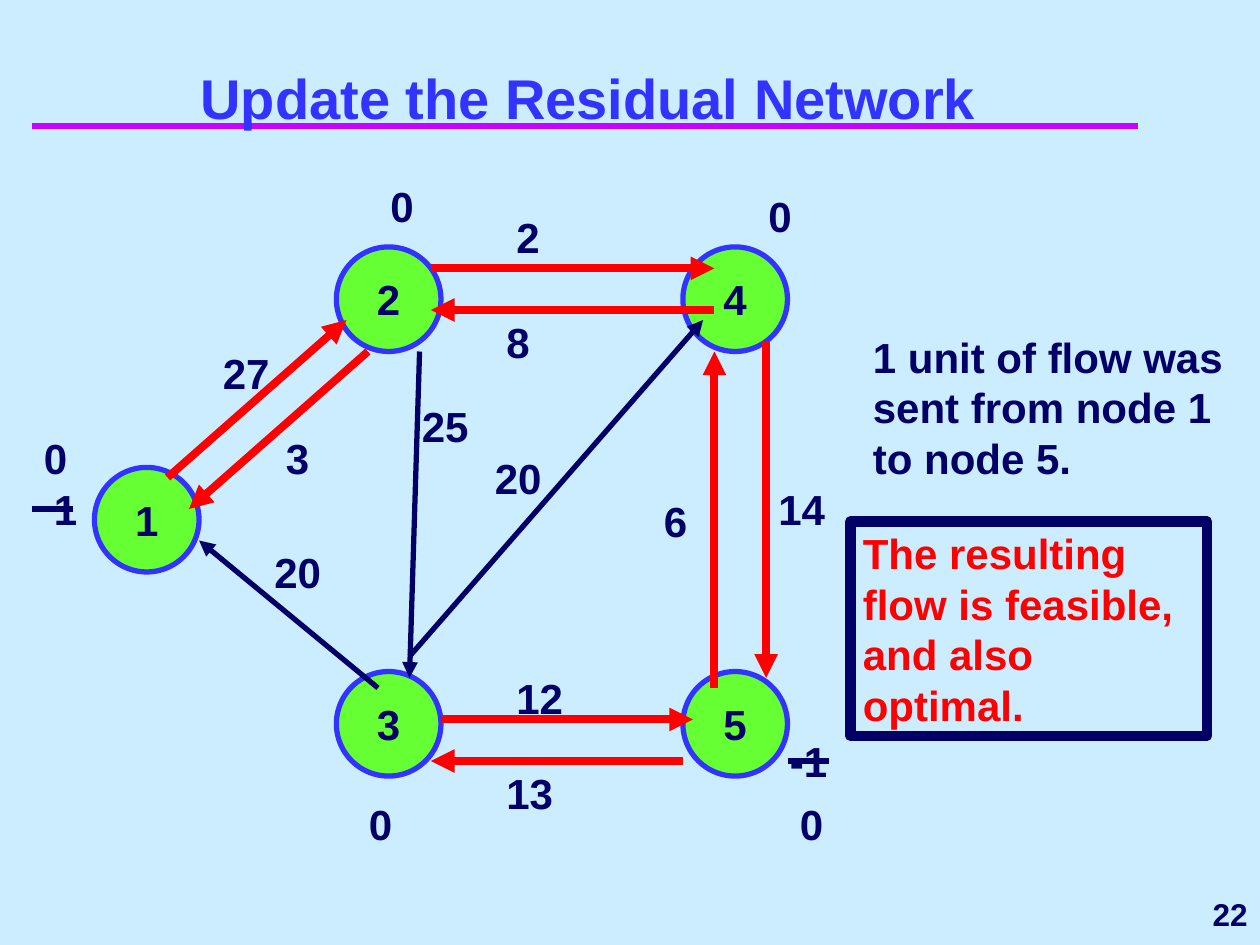
from typing import NamedTuple

from lxml.etree import SubElement
from pptx import Presentation
from pptx.dml.color import RGBColor
from pptx.enum.shapes import MSO_CONNECTOR as Link, MSO_SHAPE as Form
from pptx.enum.text import MSO_ANCHOR as Anchor, MSO_AUTO_SIZE as Fit, PP_ALIGN as Align
from pptx.oxml.ns import qn
from pptx.util import Inches, Pt

COLORS = {
    "sky": "CCECFF",
    "navy": "000066",
    "blue": "3333FF",
    "green": "66FF33",
    "red": "FF0000",
    "pink": "CC00FF",
}
SIZE = 0.83


class Node(NamedTuple):
    name: str
    x: float
    y: float


class Line(NamedTuple):
    x1: float
    y1: float
    x2: float
    y2: float
    color: str = "red"
    width: float = 4.5
    arrow: bool = True


class Label(NamedTuple):
    text: str
    x: float
    y: float
    w: float = 1.17


NODES = [
    Node("1", 0.75, 3.71),
    Node("2", 2.67, 1.96),
    Node("3", 2.67, 5.33),
    Node("5", 5.42, 5.33),
    Node("4", 5.42, 1.96),
]
ARCS = [
    Line(1.33, 3.79, 2.75, 2.54),
    Line(2.92, 2.79, 1.5, 4.04),
    Line(3.42, 2.13, 5.67, 2.13),
    Line(5.67, 2.46, 3.42, 2.46),
    Line(6.08, 2.71, 6.08, 5.38),
    Line(5.67, 5.46, 5.67, 2.79),
    Line(3.5, 5.71, 5.5, 5.71),
    Line(5.42, 6.04, 3.42, 6.04),
    Line(3.25, 5.21, 5.58, 2.54, "navy", 3),
    Line(3.33, 2.79, 3.25, 5.38, "navy", 3),
    Line(3, 5.46, 1.58, 4.29, "navy", 3),
]
STRIKES = [
    Line(6.25, 6.04, 6.58, 6.04, "navy", 3, False),
    Line(0.25, 4.04, 0.58, 4.04, "navy", 3, False),
]
FLOWS = [
    Label("2", 4, 1.63),
    Label("8", 3.92, 2.46),
    Label("27", 1.67, 2.71),
    Label("3", 2.17, 3.38),
    Label("25", 3.25, 3.13),
    Label("20", 3.83, 3.54),
    Label("20", 2.08, 4.29, 0.67),
    Label("6", 5.17, 3.88),
    Label("14", 6.08, 3.79),
    Label("12", 4, 5.29),
    Label("13", 3.92, 6.04),
]
SUPPLIES = [
    Label("0", 0.25, 3.38, 0.75),
    Label("1", 0.33, 3.79, 0.75),
    Label("0", 3, 1.38, 0.75),
    Label("0", 6, 1.46, 0.75),
    Label("0", 2.83, 6.29, 0.75),
    Label("-1", 6.17, 5.79, 0.75),
    Label("0", 6.25, 6.29, 0.75),
]


def shade(name: str) -> RGBColor:
    return RGBColor.from_string(COLORS[name])


def write(shape, text: str, size: float = 24, color: str = "navy",
          align=Align.LEFT, anchor=Anchor.TOP, wrap: bool = True, fit=Fit.NONE) -> None:
    frame = shape.text_frame
    frame.word_wrap = wrap
    frame.auto_size = fit
    frame.vertical_anchor = anchor
    para = frame.paragraphs[0]
    para.alignment = align
    run = para.add_run()
    run.text = text
    font = run.font
    font.name = "Arial"
    font.size = Pt(size)
    font.bold = True
    font.color.rgb = shade(color)


def add_text(slide, text: str, x: float, y: float, w: float, h: float = 0.5, **style) -> None:
    box = slide.shapes.add_textbox(Inches(x), Inches(y), Inches(w), Inches(h))
    write(box, text, **style)


def add_form(slide, form, x: float, y: float, w: float, h: float,
             line: str, width: float, fill: str = ""):
    shape = slide.shapes.add_shape(form, Inches(x), Inches(y), Inches(w), Inches(h))
    shape.shadow.inherit = False
    if fill:
        shape.fill.solid()
        shape.fill.fore_color.rgb = shade(fill)
    else:
        shape.fill.background()
    shape.line.color.rgb = shade(line)
    shape.line.width = Pt(width)
    return shape


def add_node(slide, node: Node) -> None:
    disc = add_form(slide, Form.OVAL, node.x, node.y, SIZE, SIZE, "blue", 3, "green")
    write(disc, node.name, align=Align.CENTER, anchor=Anchor.MIDDLE, wrap=False)


def add_line(slide, line: Line) -> None:
    link = slide.shapes.add_connector(
        Link.STRAIGHT, Inches(line.x1), Inches(line.y1), Inches(line.x2), Inches(line.y2))
    link.line.color.rgb = shade(line.color)
    link.line.width = Pt(line.width)
    if line.arrow:
        SubElement(link.line._get_or_add_ln(), qn("a:tailEnd"), type="triangle")
    SubElement(link._element.spPr, qn("a:effectLst"))


def main() -> None:
    deck = Presentation()
    deck.slide_width = Inches(10)
    deck.slide_height = Inches(7.5)
    slide = deck.slides.add_slide(deck.slide_layouts[6])
    back = slide.background.fill
    back.solid()
    back.fore_color.rgb = shade("sky")

    add_line(slide, Line(0.25, 1, 9.03, 1, "pink", 4, False))
    add_text(slide, "22", 8.08, 7, 1.92, size=18, align=Align.RIGHT,
             anchor=Anchor.MIDDLE, wrap=False)
    add_text(slide, "Update the Residual Network", 0.42, 0.67, 8.5, 0.42, size=32,
             color="blue", align=Align.CENTER, anchor=Anchor.BOTTOM)
    for node in NODES:
        add_node(slide, node)
    for line in ARCS + STRIKES:
        add_line(slide, line)
    for label in FLOWS + SUPPLIES:
        add_text(slide, label.text, label.x, label.y, label.w, fit=Fit.SHAPE_TO_FIT_TEXT)
    add_text(slide, "1 unit of flow was sent from node 1 to node 5.",
             6.83, 2.58, 3.17, 1.3, fit=Fit.SHAPE_TO_FIT_TEXT)
    note = add_form(slide, Form.RECTANGLE, 6.75, 4.14, 2.83, 1.7, "navy", 6)
    write(note, "The resulting flow is feasible, and also optimal.",
          color="red", fit=Fit.SHAPE_TO_FIT_TEXT)
    deck.save("out.pptx")


if __name__ == "__main__":
    main()
